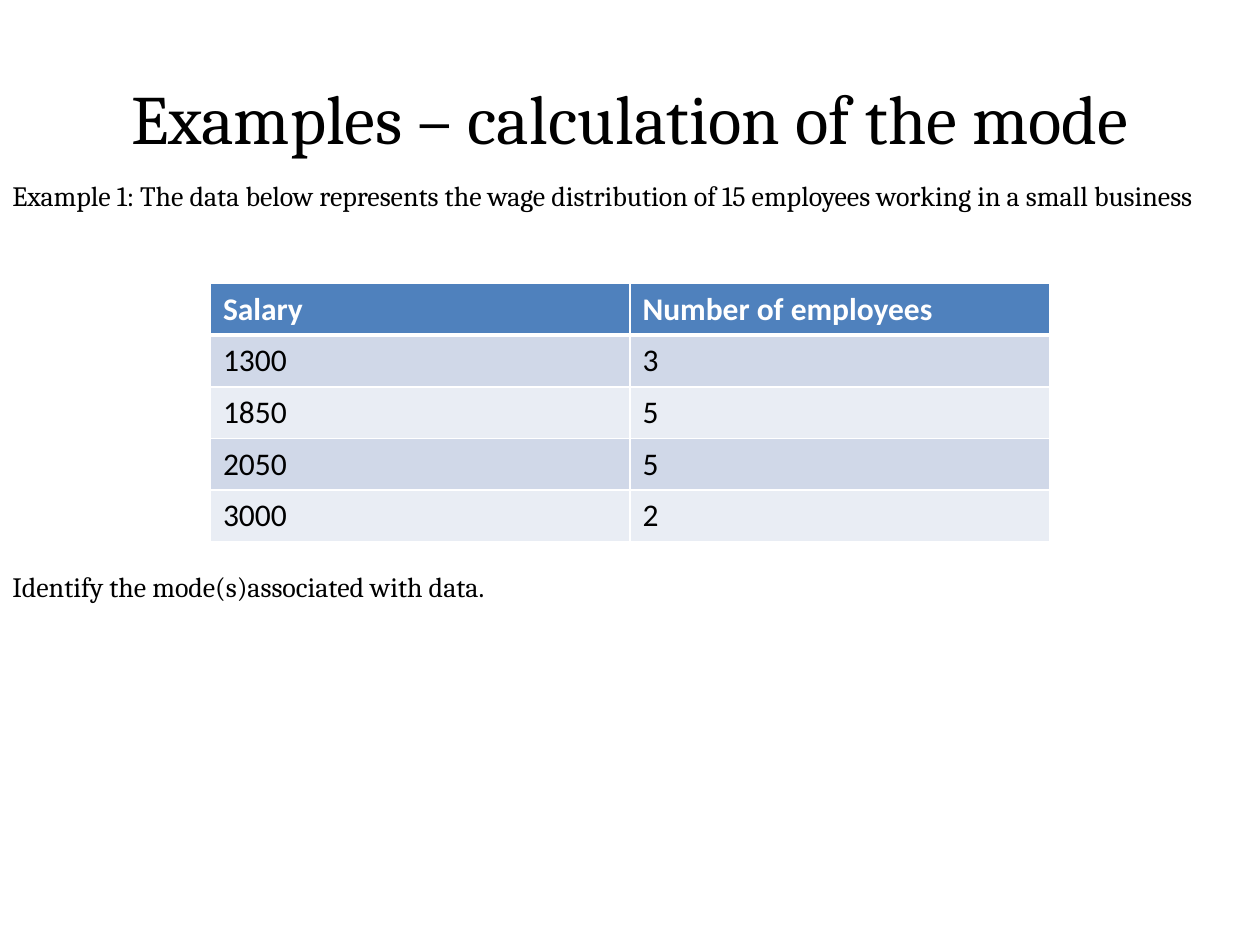
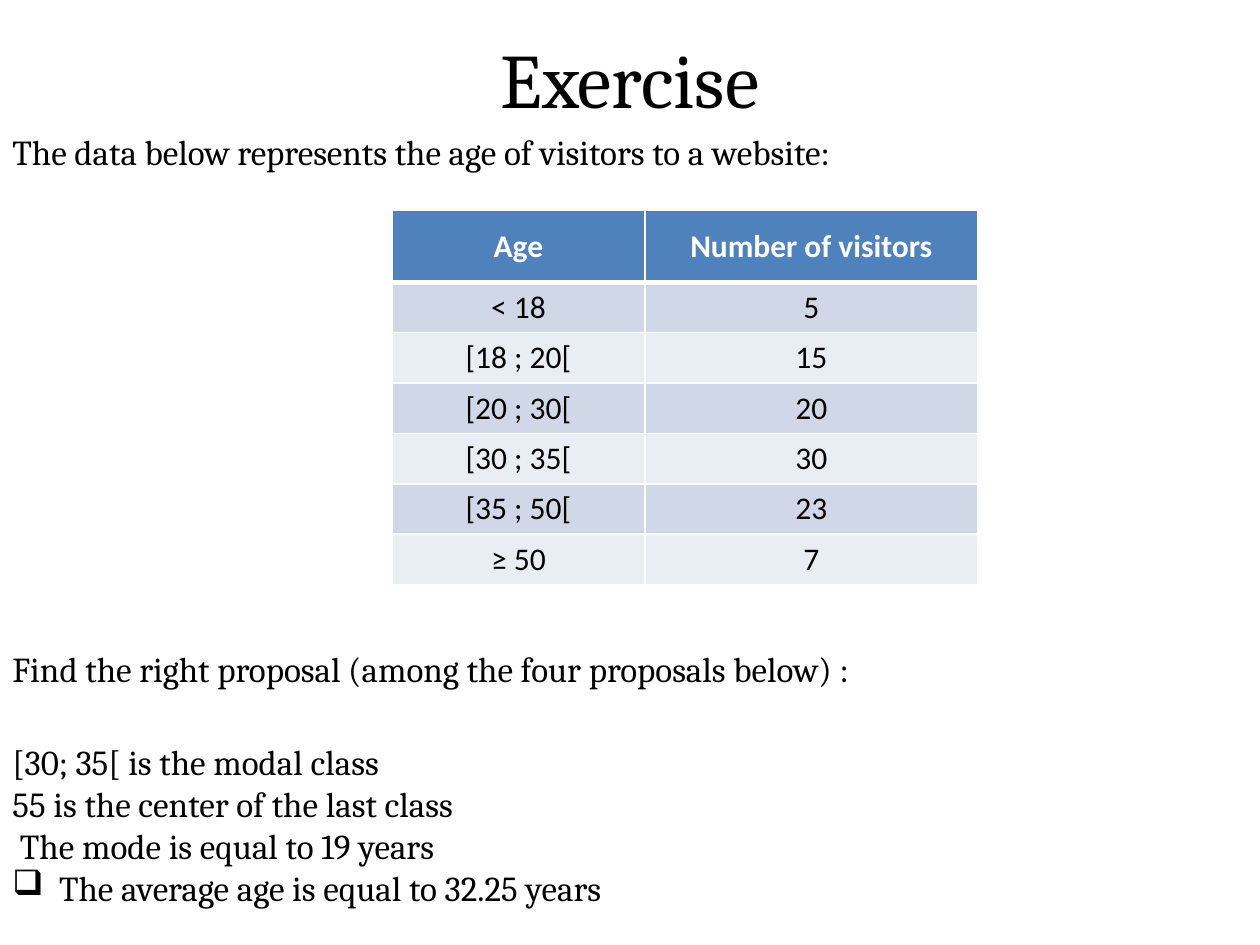
from lxml import etree
from pptx import Presentation
from pptx.dml.color import RGBColor
from pptx.enum.text import MSO_ANCHOR, PP_ALIGN
from pptx.oxml.ns import qn
from pptx.util import Pt

LEFT, CENTER = PP_ALIGN.LEFT, PP_ALIGN.CENTER
TOP, MIDDLE = MSO_ANCHOR.TOP, MSO_ANCHOR.MIDDLE
EMU_PER_PX = 9144
COLORS = {
    "text": "000000",
    "header": "4F81BD",
    "header_text": "FFFFFF",
    "border": "FFFFFF",
    "odd_row": "D0D8E8",
    "even_row": "E9EDF4",
}


def px(length):
    return length * EMU_PER_PX


def color(name):
    return RGBColor.from_string(COLORS[name])


class LessonDeck:
    text_font = "Cambria"
    table_font = "Calibri"
    table_size = 18

    def __init__(self):
        self.deck = Presentation()
        self.deck.slide_width = px(1000)
        self.deck.slide_height = px(750)
        self.slide = None

    def add_slide(self):
        self.slide = self.deck.slides.add_slide(self.deck.slide_layouts[6])

    def style(self, paragraph, font_name, size, color_name="text", bold=False):
        font = paragraph.font
        font.name = font_name
        font.size = Pt(size)
        font.bold = bold
        font.color.rgb = color(color_name)

    def text(self, lines, left, top, width, height, size, align=LEFT, anchor=TOP):
        box = self.slide.shapes.add_textbox(px(left), px(top), px(width), px(height))
        frame = box.text_frame
        frame.word_wrap = True
        frame.vertical_anchor = anchor
        for index, line in enumerate(lines):
            paragraph = frame.add_paragraph() if index else frame.paragraphs[0]
            paragraph.text = line["text"]
            paragraph.alignment = align
            paragraph.space_before = Pt(line.get("gap", 0))
            self.indent(paragraph, line.get("indent", 0), line.get("bullet"))
            self.style(paragraph, self.text_font, size)

    def indent(self, paragraph, indent, bullet):
        if not indent:
            return
        properties = paragraph._p.get_or_add_pPr()
        properties.set("marL", str(px(indent)))
        if bullet:
            properties.set("indent", str(-px(indent)))
            etree.SubElement(properties, qn("a:buChar"), char=bullet)

    def title(self, text, top, size):
        self.text([{"text": text}], 50, top, 900, 125, size, CENTER, MIDDLE)

    def table(self, rows, left, top, widths, header_height, row_height, align=LEFT):
        heights = [header_height] + [row_height] * (len(rows) - 1)
        frame = self.slide.shapes.add_table(
            len(rows), len(widths), px(left), px(top), px(sum(widths)), px(sum(heights))
        )
        table = frame.table
        table.horz_banding = False
        for column, width in zip(table.columns, widths):
            column.width = px(width)
        for row_index, values in enumerate(rows):
            table.rows[row_index].height = px(heights[row_index])
            for column_index, value in enumerate(values):
                self.cell(table.cell(row_index, column_index), value, row_index, align)

    def cell(self, cell, value, row_index, align):
        is_header = row_index == 0
        cell.margin_top = cell.margin_bottom = px(4)
        cell.vertical_anchor = MIDDLE
        top_width = 3 if row_index == 1 else 1
        bottom_width = 3 if is_header else 1
        self.borders(cell, {"lnL": 1, "lnR": 1, "lnT": top_width, "lnB": bottom_width})
        fill_name = "header" if is_header else "odd_row" if row_index % 2 else "even_row"
        cell.fill.solid()
        cell.fill.fore_color.rgb = color(fill_name)
        paragraph = cell.text_frame.paragraphs[0]
        paragraph.text = value
        paragraph.alignment = align
        text_color = "header_text" if is_header else "text"
        self.style(paragraph, self.table_font, self.table_size, text_color, is_header)

    def borders(self, cell, widths):
        properties = cell._tc.get_or_add_tcPr()
        for side, width in widths.items():
            line = etree.SubElement(properties, qn(f"a:{side}"), w=str(Pt(width)))
            fill = etree.SubElement(line, qn("a:solidFill"))
            etree.SubElement(fill, qn("a:srgbClr"), val=COLORS["border"])


def add_mode_example(lesson):
    lesson.add_slide()
    lesson.title("Examples – calculation of the mode", 30, 39.6)
    lines = [
        {"text": "Example 1: The data below represents the wage distribution of 15 employees working in a small business"},
        {"text": "Identify the mode(s)associated with data.", "gap": 204},
    ]
    lesson.text(lines, 0, 137, 1000, 613, 16)
    salaries = [
        ("Salary", "Number of employees"),
        ("1300", "3"),
        ("1850", "5"),
        ("2050", "5"),
        ("3000", "2"),
    ]
    lesson.table(salaries, 167, 225, (333, 333), 41, 41)


def add_exercise(lesson):
    lesson.add_slide()
    lesson.title("Exercise", -1, 44)
    lesson.text(
        [{"text": "The data below represents the age of visitors to a website:"}],
        0, 99, 900, 630, 20,
    )
    proposals = [
        {"text": "Find the right proposal (among the four proposals below) :"},
        {"text": "[30; 35[ is the modal class", "gap": 29},
        {"text": "55 is the center of the last class"},
        {"text": "The mode is equal to 19 years", "indent": 6},
        {"text": "The average age is equal to 32.25 years", "indent": 37, "bullet": "❑"},
    ]
    lesson.text(proposals, 0, 509, 925, 219, 20)
    ages = [
        ("Age", "Number of visitors"),
        ("< 18", "5"),
        ("[18 ; 20[", "15"),
        ("[20 ; 30[", "20"),
        ("[30 ; 35[", "30"),
        ("[35 ; 50[", "23"),
        ("≥ 50", "7"),
    ]
    lesson.table(ages, 311, 167, (201, 264), 57, 40, CENTER)


def main():
    lesson = LessonDeck()
    add_mode_example(lesson)
    add_exercise(lesson)
    lesson.deck.save("out.pptx")


if __name__ == "__main__":
    main()
